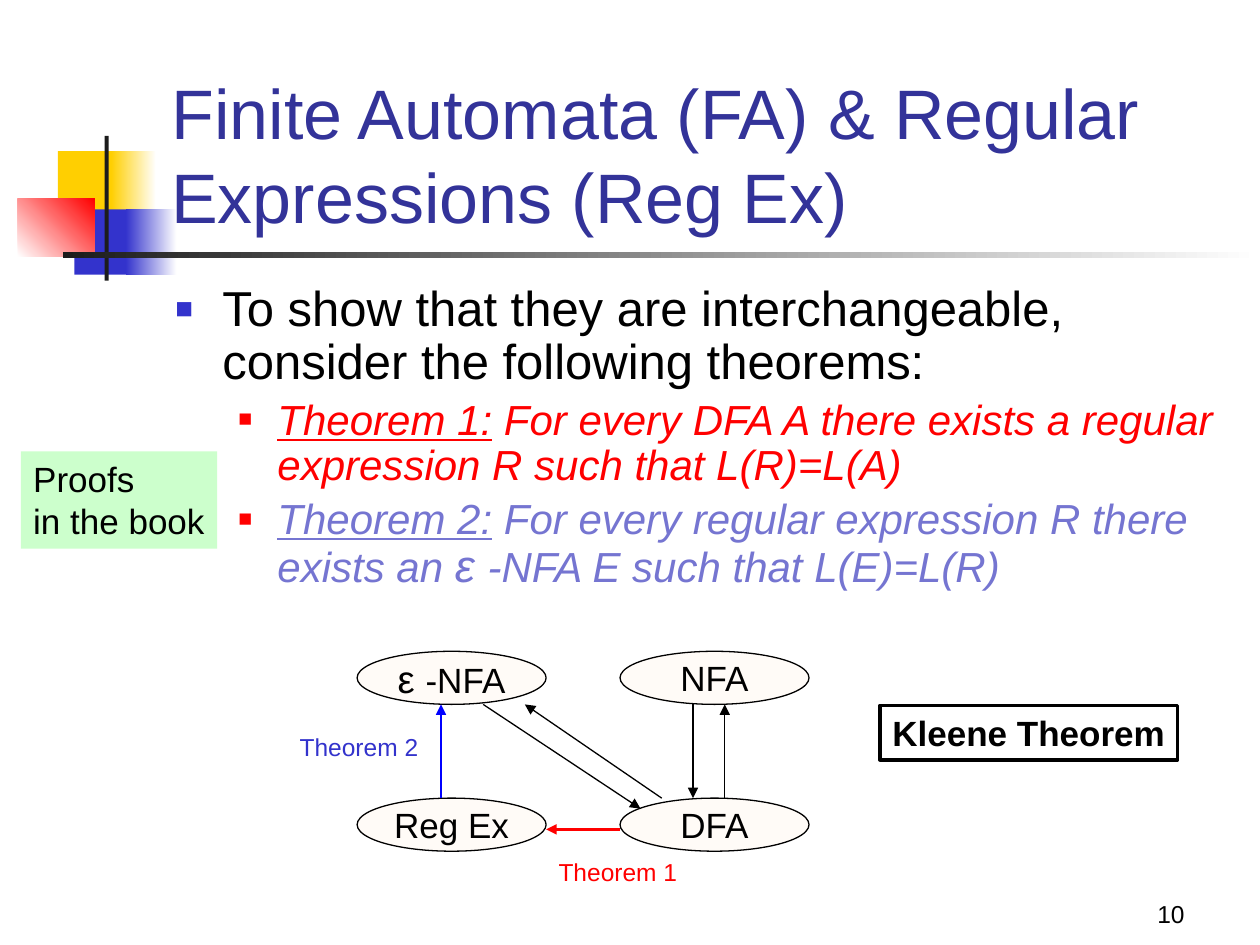
"""Build the slide on finite automata and regular expressions."""
from lxml import etree
from pptx import Presentation
from pptx.dml.color import RGBColor
from pptx.enum import shapes, text
from pptx.oxml import ns
from pptx.util import Cm, Pt


def color(value):
    return RGBColor.from_string(value)


def write(paragraph, words, size, ink, **formats):
    for index, line in enumerate(words.split("\n")):
        if index:
            paragraph.add_line_break()
        run = paragraph.add_run()
        run.text = line
        run.font.color.rgb = color(ink)
        for key, value in {"name": "Arial", "size": Pt(size), **formats}.items():
            setattr(run.font, key, value)


deck = Presentation()
deck.slide_width, deck.slide_height = Cm(25.4), Cm(19.05)
slide = deck.slides.add_slide(deck.slide_layouts[1])
title, body = slide.placeholders

ornaments = [
    (1.17, 3.05, 1.22, 1.32, ["FFCF01"], 0),
    (2.24, 3.05, 0.91, 1.32, ["FFCF01", "FFFFFF"], 0),
    (1.5, 4.22, 1.17, 1.32, ["3333CC"], 0),
    (2.54, 4.22, 1.02, 1.32, ["3333CC", "FFFFFF"], 0),
    (0.36, 4.01, 1.55, 1.17, ["FFFFFF", "FF0000"], 45),
    (2.11, 2.74, 0.08, 2.92, ["1C1C1C"], 0),
    (1.27, 5.08, 24.13, 0.13, ["1C1C1C", "FFFFFF"], 0),
]
for *box, tones, angle in ornaments:
    ornament = slide.shapes.add_shape(shapes.MSO_SHAPE.RECTANGLE, *map(Cm, box))
    ornament.shadow.inherit = False
    ornament.line.fill.background()
    if len(tones) == 1:
        ornament.fill.solid()
        ornament.fill.fore_color.rgb = color(tones[0])
    else:
        ornament.fill.gradient()
        ornament.fill.gradient_angle = angle
        for stop, tone, position in zip(ornament.fill.gradient_stops, tones, (0, 1)):
            stop.color.rgb = color(tone)
            stop.position = position

placements = [
    (title, (3.2, 1.73, 21.64, 3.18), text.MSO_ANCHOR.BOTTOM),
    (body, (3.28, 5.61, 21.59, 6.68), text.MSO_ANCHOR.TOP),
]
for holder, box, anchor in placements:
    holder.element.getparent().append(holder.element)
    for key, value in zip(("left", "top", "width", "height"), box):
        setattr(holder, key, Cm(value))
    holder.text_frame.auto_size = text.MSO_AUTO_SIZE.NONE
    holder.text_frame.vertical_anchor = anchor

heading = title.text_frame.paragraphs[0]
heading.alignment = text.PP_ALIGN.LEFT
write(heading, "Finite Automata (FA) & Regular Expressions (Reg Ex)", 40, "333399")

points = [
    (0, "000000", [("To show that they are interchangeable, consider the following theorems:", 28, {})]),
    (1, "FF0000", [
        ("Theorem 1:", 24, {"italic": True, "underline": True}),
        (" For every DFA A there exists a regular expression R such that L(R)=L(A)", 24, {"italic": True}),
    ]),
    (1, "7575D1", [
        ("Theorem 2:", 24, {"italic": True, "underline": True}),
        (" For every regular expression R there exists an ", 24, {"italic": True}),
        ("ε ", 26, {"italic": True}),
        ("-NFA E such that L(E)=L(R)", 24, {"italic": True}),
    ]),
]
levels = [(0.95, -0.95, "3333CC", 60), (2.06, -0.79, "FF0000", 55)]
for index, (level, ink, pieces) in enumerate(points):
    point = body.text_frame.add_paragraph() if index else body.text_frame.paragraphs[0]
    margin, indent, bullet_ink, bullet_size = levels[level]
    point.level = level
    point.alignment = text.PP_ALIGN.LEFT
    point.line_spacing = 0.9
    point.space_before = Pt(pieces[0][1] * 0.2)
    for words, size, formats in pieces:
        write(point, words, size, ink, **formats)
    settings = point._p.get_or_add_pPr()
    settings.set("marL", str(Cm(margin)))
    settings.set("indent", str(Cm(indent)))
    bullet_color = etree.SubElement(settings, ns.qn("a:buClr"))
    etree.SubElement(bullet_color, ns.qn("a:srgbClr"), val=bullet_ink)
    etree.SubElement(settings, ns.qn("a:buSzPct"), val=str(bullet_size * 1000))
    etree.SubElement(settings, ns.qn("a:buFont"), typeface="Arial")
    etree.SubElement(settings, ns.qn("a:buChar"), char="■")

left, right, top, bottom = 7.2, 12.5, 13.13, 16.09
width, height = 3.81, 1.07
models = [
    (left, top, [("ε ", 22), ("-NFA", 20)]),
    (right, top, [("NFA", 20)]),
    (right, bottom, [("DFA", 20)]),
    (left, bottom, [("Reg Ex", 20)]),
]
for x, y, pieces in models:
    model = slide.shapes.add_shape(shapes.MSO_SHAPE.OVAL, Cm(x), Cm(y), Cm(width), Cm(height))
    model.shadow.inherit = False
    model.fill.solid()
    model.fill.fore_color.rgb = color("FFCC99")
    tint = model.element.spPr.find(ns.qn("a:solidFill"))[0]
    etree.SubElement(tint, ns.qn("a:alpha"), val="8000")
    model.line.color.rgb = color("000000")
    model.line.width = Pt(0.75)
    model.text_frame.word_wrap = False
    model.text_frame.vertical_anchor = text.MSO_ANCHOR.MIDDLE
    name = model.text_frame.paragraphs[0]
    name.alignment = text.PP_ALIGN.CENTER
    for words, size in pieces:
        write(name, words, size, "000000")

upper = top + height
conversions = [
    (13.97, upper, 13.97, bottom, "000000", 0.75),
    (14.61, bottom, 14.61, upper, "000000", 0.75),
    (right, 16.72, left + width, 16.72, "FF0000", 1.5),
    (8.89, bottom, 8.89, upper, "0000FF", 1.5),
    (9.74, upper, 12.91, 16.3, "000000", 0.75),
    (13.34, bottom, 10.58, upper, "000000", 0.75),
]
for *ends, ink, weight in conversions:
    conversion = slide.shapes.add_connector(shapes.MSO_CONNECTOR.STRAIGHT, *map(Cm, ends))
    conversion.line.color.rgb = color(ink)
    conversion.line.width = Pt(weight)
    etree.SubElement(conversion.line._get_or_add_ln(), ns.qn("a:tailEnd"), type="triangle")
    etree.SubElement(conversion.element.spPr, ns.qn("a:effectLst"))

labels = [
    ((5.79, 14.63, 2.9, 0.84), "Theorem 2", 14, "3333CC", False, None, None),
    ((11.01, 17.15, 2.9, 0.84), "Theorem 1", 14, "FF0000", False, None, None),
    ((0.42, 9.1, 3.96, 1.96), "Proofs\nin the book", 20, "000000", False, "CCFFCC", None),
    ((17.74, 14.22, 6, 1.1), "Kleene Theorem", 20, "000000", True, "FFFFFF", "000000"),
]
for box, words, size, ink, bold, fill, outline in labels:
    label = slide.shapes.add_textbox(*map(Cm, box))
    label.text_frame.word_wrap = False
    write(label.text_frame.paragraphs[0], words, size, ink, bold=bold)
    if fill:
        label.fill.solid()
        label.fill.fore_color.rgb = color(fill)
    if outline:
        label.line.color.rgb = color(outline)
        label.line.width = Pt(2)

page = slide.shapes.add_textbox(Cm(18.85), Cm(17.58), Cm(5.28), Cm(1.27))
page.text_frame.word_wrap = True
page.text_frame.vertical_anchor = text.MSO_ANCHOR.BOTTOM
number = page.text_frame.paragraphs[0]
number.alignment = text.PP_ALIGN.RIGHT
write(number, "10", 14, "000000")

deck.save("out.pptx")
